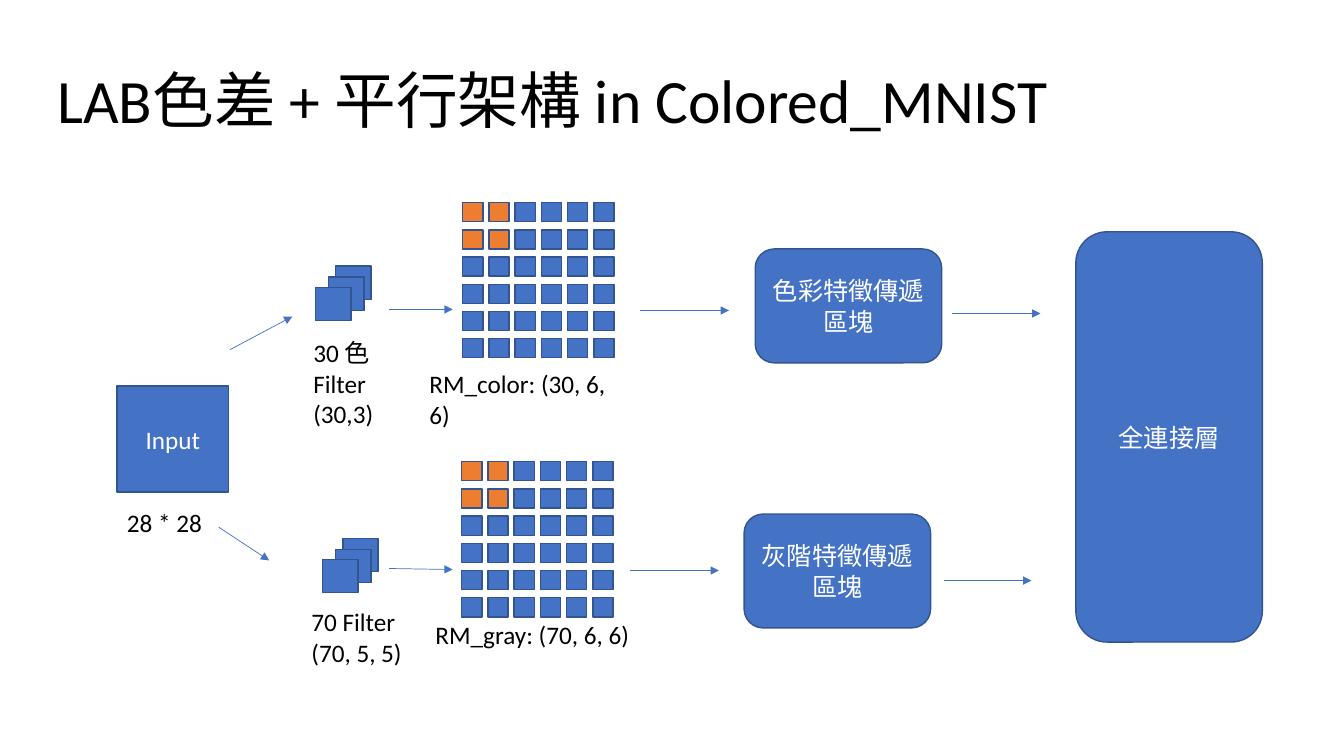
from dataclasses import dataclass
from itertools import product

from lxml.etree import SubElement
from pptx import Presentation
from pptx.dml.color import RGBColor
from pptx.enum.dml import MSO_FILL
from pptx.enum.shapes import MSO_CONNECTOR, MSO_SHAPE
from pptx.enum.text import MSO_ANCHOR, MSO_AUTO_SIZE, PP_ALIGN
from pptx.oxml.ns import qn
from pptx.shapes.shapetree import GroupShapes, SlideShapes
from pptx.text.text import TextFrame
from pptx.util import Inches, Pt

COLORS = {
    "blue": "4472C4",
    "outline": "325491",
    "orange": "ED7D31",
    "black": "000000",
    "white": "FFFFFF",
}
FONT = "Calibri"
GRID_SIZE = 6
HIGHLIGHT_SIZE = 2
COLUMN_PITCH = 0.26
ROW_PITCH = 0.27
FILTER_OFFSETS = [(0.2, 0), (0.13, 0.11), (0, 0.21)]

Shapes = SlideShapes | GroupShapes


@dataclass(frozen=True)
class Area:
    left: float
    top: float
    width: float
    height: float

    def lengths(self) -> tuple[int, int, int, int]:
        return (Inches(self.left), Inches(self.top),
                Inches(self.width), Inches(self.height))


@dataclass(frozen=True)
class Arrow:
    x1: float
    y1: float
    x2: float
    y2: float


@dataclass(frozen=True)
class Label:
    area: Area
    text: str


@dataclass(frozen=True)
class Branch:
    filters: tuple[float, float]
    feature_map: tuple[float, float]
    filter_label: Label
    map_label: Label
    transfer_block: Label
    arrows: list[Arrow]


BRANCHES = [
    Branch(
        filters=(3.13, 2.64),
        feature_map=(4.59, 2.01),
        filter_label=Label(Area(3.01, 3.3, 0.84, 1.31), "30 色 Filter\v(30,3)"),
        map_label=Label(Area(4.16, 3.61, 2.18, 0.4), "RM_color: (30, 6, 6)"),
        transfer_block=Label(Area(7.49, 2.47, 1.85, 1.13), "色彩特徵傳遞區塊"),
        arrows=[Arrow(3.86, 3.07, 4.49, 3.07), Arrow(6.35, 3.08, 7.23, 3.08)],
    ),
    Branch(
        filters=(3.2, 5.34),
        feature_map=(4.58, 4.58),
        filter_label=Label(Area(2.99, 5.97, 1.11, 0.71), "70 Filter\n(70, 5, 5)"),
        map_label=Label(Area(4.22, 6.09, 2.18, 0.4), "RM_gray: (70, 6, 6)"),
        transfer_block=Label(Area(7.38, 5.1, 1.85, 1.13), "灰階特徵傳遞區塊"),
        arrows=[Arrow(3.86, 5.64, 4.49, 5.65), Arrow(6.25, 5.66, 7.13, 5.66)],
    ),
]
INPUT_BLOCK = Label(Area(1.16, 3.83, 1.11, 1.05), "Input")
INPUT_SIZE = Label(Area(1.16, 4.98, 0.95, 0.4), "28 * 28")
CONNECTED_LAYER = Label(Area(10.67, 2.3, 1.85, 4.07), "全連接層")
OUTER_ARROWS = [
    Arrow(2.17, 5.23, 2.67, 5.56),
    Arrow(2.28, 3.47, 2.9, 3.14),
    Arrow(9.44, 3.11, 10.32, 3.11),
    Arrow(9.36, 5.76, 10.23, 5.76),
]


def color(name: str) -> RGBColor:
    return RGBColor.from_string(COLORS[name])


def write_text(frame: TextFrame, text: str, size: float, ink: str,
               alignment: PP_ALIGN = PP_ALIGN.LEFT) -> None:
    frame.text = text
    frame.word_wrap = True
    for paragraph in frame.paragraphs:
        paragraph.alignment = alignment
        for run in paragraph.runs:
            run.font.name = FONT
            run.font.size = Pt(size)
            run.font.color.rgb = color(ink)


def draw_block(shapes: Shapes, block: Label, fill: str = "blue",
               outline: MSO_SHAPE = MSO_SHAPE.RECTANGLE) -> None:
    body = shapes.add_shape(outline, *block.area.lengths())
    body.shadow.inherit = False
    body.fill.solid()
    body.fill.fore_color.rgb = color(fill)
    body.line.color.rgb = color("outline")
    body.line.width = Pt(1)
    if block.text:
        body.text_frame.vertical_anchor = MSO_ANCHOR.MIDDLE
        write_text(body.text_frame, block.text, 18, "white", PP_ALIGN.CENTER)


def draw_label(shapes: Shapes, label: Label) -> None:
    frame = shapes.add_textbox(*label.area.lengths()).text_frame
    write_text(frame, label.text, 18, "black")
    frame.auto_size = MSO_AUTO_SIZE.SHAPE_TO_FIT_TEXT


def draw_arrow(shapes: Shapes, arrow: Arrow) -> None:
    connector = shapes.add_connector(
        MSO_CONNECTOR.STRAIGHT, Inches(arrow.x1), Inches(arrow.y1),
        Inches(arrow.x2), Inches(arrow.y2))
    connector.line.color.rgb = color("blue")
    connector.line.width = Pt(0.5)
    properties = connector._element.spPr
    SubElement(properties.find(qn("a:ln")), qn("a:tailEnd"), type="triangle")
    SubElement(properties, qn("a:effectLst"))


def draw_branch(shapes: Shapes, branch: Branch) -> None:
    left, top = branch.filters
    for dx, dy in FILTER_OFFSETS:
        draw_block(shapes, Label(Area(left + dx, top + dy, 0.35, 0.33), ""))
    left, top = branch.feature_map
    for row, column in product(range(GRID_SIZE), repeat=2):
        fill = "orange" if max(row, column) < HIGHLIGHT_SIZE else "blue"
        cell = Area(left + column * COLUMN_PITCH, top + row * ROW_PITCH, 0.2, 0.19)
        draw_block(shapes, Label(cell, ""), fill)
    draw_label(shapes, branch.filter_label)
    draw_label(shapes, branch.map_label)
    draw_block(shapes, branch.transfer_block, outline=MSO_SHAPE.ROUNDED_RECTANGLE)
    for arrow in branch.arrows:
        draw_arrow(shapes, arrow)


def main() -> None:
    deck = Presentation()
    deck.slide_width, deck.slide_height = Inches(13.33), Inches(7.5)
    slide = deck.slides.add_slide(deck.slide_layouts[5])
    title = slide.shapes.title
    title.left, title.top, title.width, title.height = Area(0.47, 0.3, 11.5, 1.45).lengths()
    write_text(title.text_frame, "LAB色差 + 平行架構 in Colored_MNIST", 44, "black")
    title.text_frame.auto_size = MSO_AUTO_SIZE.NONE
    title.text_frame.vertical_anchor = MSO_ANCHOR.MIDDLE
    title.text_frame.paragraphs[0].line_spacing = 0.9

    draw_block(slide.shapes, INPUT_BLOCK)
    draw_label(slide.shapes, INPUT_SIZE)
    for branch in BRANCHES:
        draw_branch(slide.shapes.add_group_shape().shapes, branch)
    draw_block(slide.shapes, CONNECTED_LAYER, outline=MSO_SHAPE.ROUNDED_RECTANGLE)
    for arrow in OUTER_ARROWS:
        draw_arrow(slide.shapes, arrow)
    deck.save("out.pptx")


if __name__ == "__main__":
    main()
